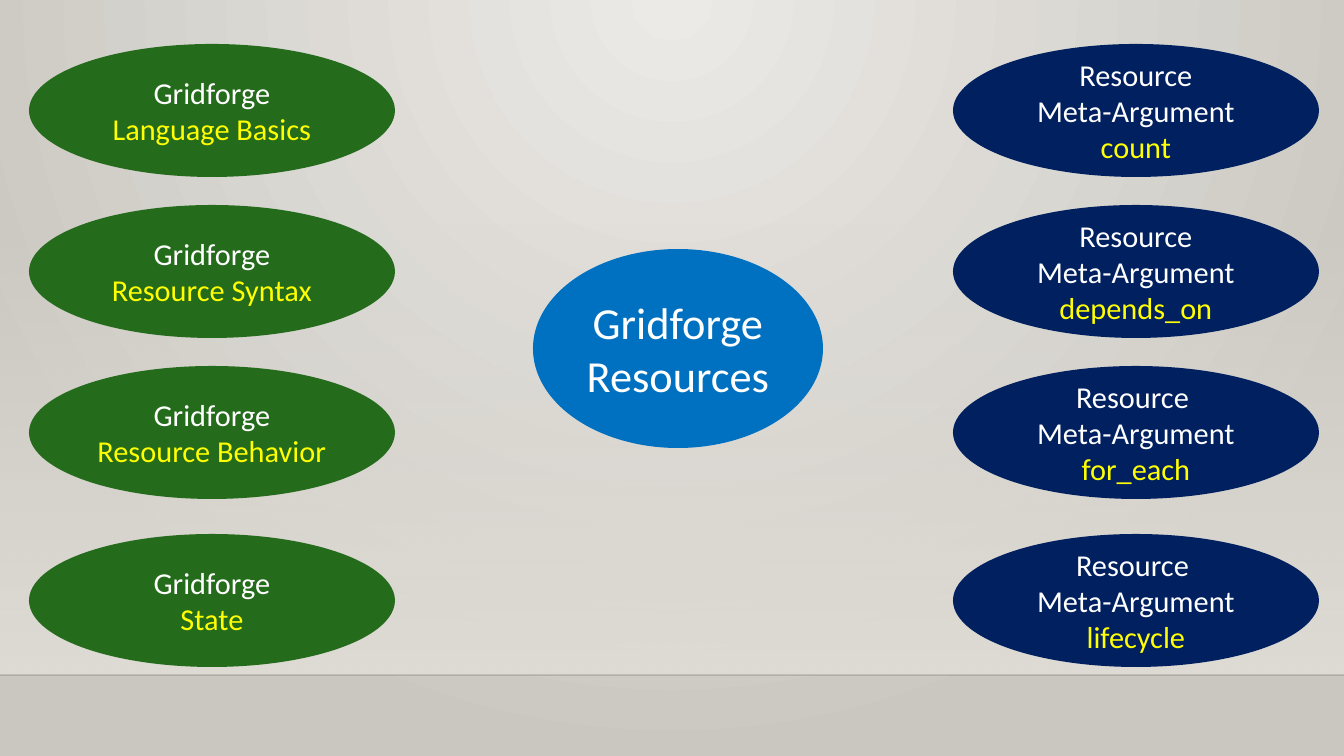
"""Build the Gridforge resources topic map."""
from lxml import etree
from pptx import Presentation, util as u
from pptx.dml.color import RGBColor
from pptx.enum import shapes, text
from pptx.oxml import ns

COLORS = {
    "light": "ECEAE7", "dark": "CAC7C1", "wall": "DFDBD5", "edge": "000001",
    "blue": "0070C0", "green": "246B1B", "navy": "002060",
    "white": "FFFFFF", "yellow": "FFFF00",
}
SCALE = u.Inches(1) // 84
WIDE, HIGH, FLOOR = 1344, 756, 675
ROWS = (44, 205, 366, 534)
LEFT, RIGHT = 29, 953
TOOL = "Gridforge"
BASICS = ("Language Basics", "Resource Syntax", "Resource Behavior", "State")
METAS = (("Resource", "count"), ("Resource", "depends_on"),
         ("Resource ", "for_each"), ("Resource ", "lifecycle"))


class Board:
    """Hold the text style and the current slide."""

    def __init__(self, deck, font):
        self.slide = deck.slides.add_slide(deck.slide_layouts[6])
        self.font = font

    def color(self, name):
        """Return a named colour."""
        return RGBColor.from_string(COLORS[name])

    def alpha(self, node, value):
        """Set the opacity of each colour under a node."""
        for tone in node.iter(ns.qn("a:srgbClr")):
            etree.SubElement(tone, ns.qn("a:alpha"), val=str(value * 1000))

    def blend(self, fill, *names):
        """Give a fill a gradient of two colours."""
        fill.gradient()
        for stop, name in zip(fill.gradient_stops, names):
            stop.color.rgb = self.color(name)

    def ground(self):
        """Paint the round glow behind the slide."""
        self.blend(self.slide.background.fill, "light", "dark")
        grad = next(self.slide.element.iter(ns.qn("a:gradFill")))
        grad.remove(grad.find(ns.qn("a:lin")))
        glow = etree.SubElement(grad, ns.qn("a:path"), path="circle")
        etree.SubElement(glow, ns.qn("a:fillToRect"),
                         l="43000", t="0", r="43000", b="100000")

    def shape(self, kind, *box):
        """Add a plain shape without line or shadow."""
        form = self.slide.shapes.add_shape(kind, *(n * SCALE for n in box))
        form.shadow.inherit = False
        form.line.fill.background()
        return form

    def wall(self, top):
        """Add the wall that fades in towards the floor."""
        form = self.shape(shapes.MSO_SHAPE.RECTANGLE, 0, top, WIDE, FLOOR - top)
        self.blend(form.fill, "wall", "wall")
        form.fill.gradient_angle = 270
        stops = form.element.spPr.iter(ns.qn("a:gs"))
        for stop, value in zip(stops, (0, 100)):
            self.alpha(stop, value)

    def edge(self):
        """Add the faint line where wall and floor meet."""
        line = self.slide.shapes.add_connector(
            shapes.MSO_CONNECTOR.STRAIGHT, 0, FLOOR * SCALE, WIDE * SCALE, FLOOR * SCALE)
        line.line.color.rgb = self.color("edge")
        line.line.width = u.Pt(1)
        props = line.element.spPr
        self.alpha(props, 20)
        etree.SubElement(props, ns.qn("a:effectLst"))

    def oval(self, box, fill, size, lines, last="white"):
        """Add an ellipse whose last line has its own colour."""
        form = self.shape(shapes.MSO_SHAPE.OVAL, *box)
        form.fill.solid()
        form.fill.fore_color.rgb = self.color(fill)
        frame = form.text_frame
        frame.word_wrap = True
        frame.vertical_anchor = text.MSO_ANCHOR.MIDDLE
        frame.text = "\n".join(lines)
        for para in frame.paragraphs:
            para.alignment = text.PP_ALIGN.CENTER
            for run in para.runs:
                run.font.name = self.font
                run.font.size = u.Pt(size)
                run.font.color.rgb = self.color("white")
        run.font.color.rgb = self.color(last)

    def topic(self, left, top, fill, lines):
        """Add one topic of a side column."""
        self.oval((left, top, 366, 133), fill, 26, lines, "yellow")


def main():
    """Draw the slide and save it."""
    deck = Presentation()
    deck.slide_width, deck.slide_height = WIDE * SCALE, HIGH * SCALE
    board = Board(deck, "Calibri")
    board.ground()
    board.wall(223)
    board.edge()
    board.oval((533, 249, 290, 199), "blue", 38, (TOOL, "Resources"))
    for top, name in zip(ROWS, BASICS):
        board.topic(LEFT, top, "green", (TOOL, name))
    for top, (head, name) in zip(ROWS, METAS):
        board.topic(RIGHT, top, "navy", (head, "Meta-Argument", name))
    deck.save("out.pptx")


if __name__ == "__main__":
    main()
